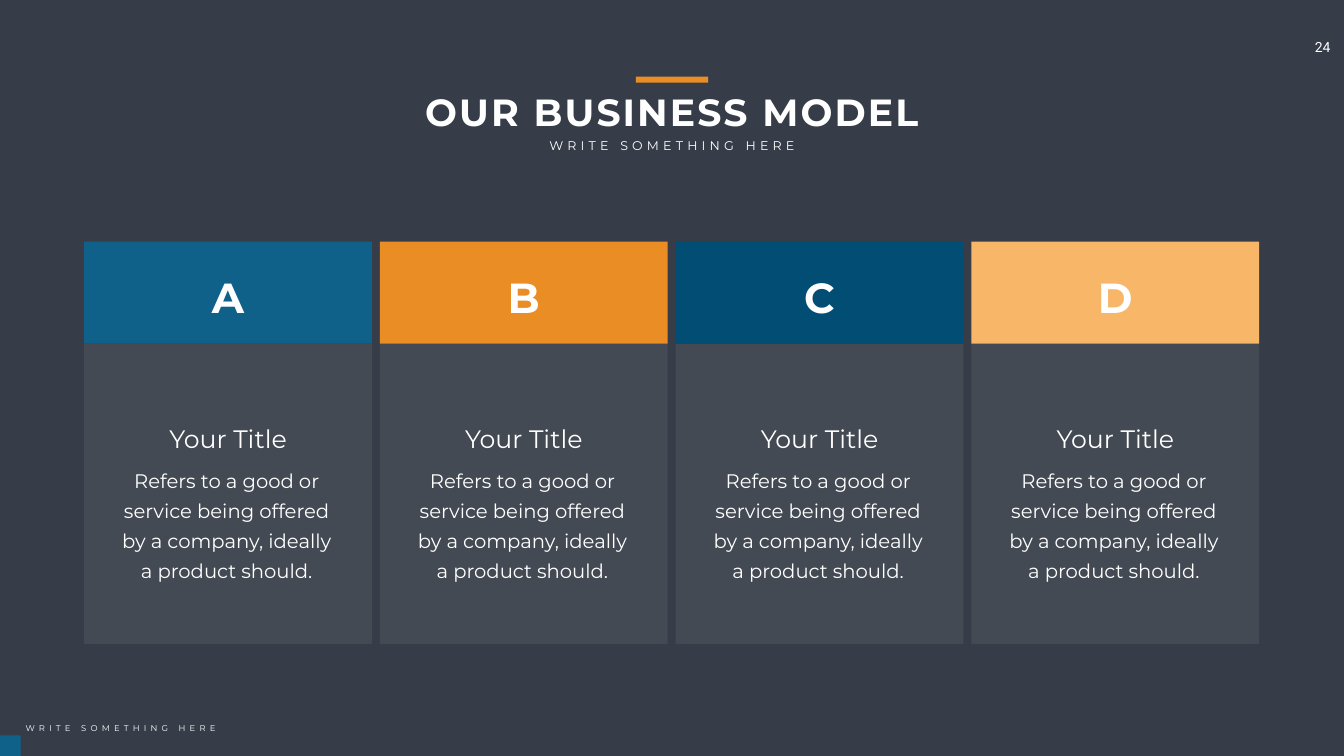
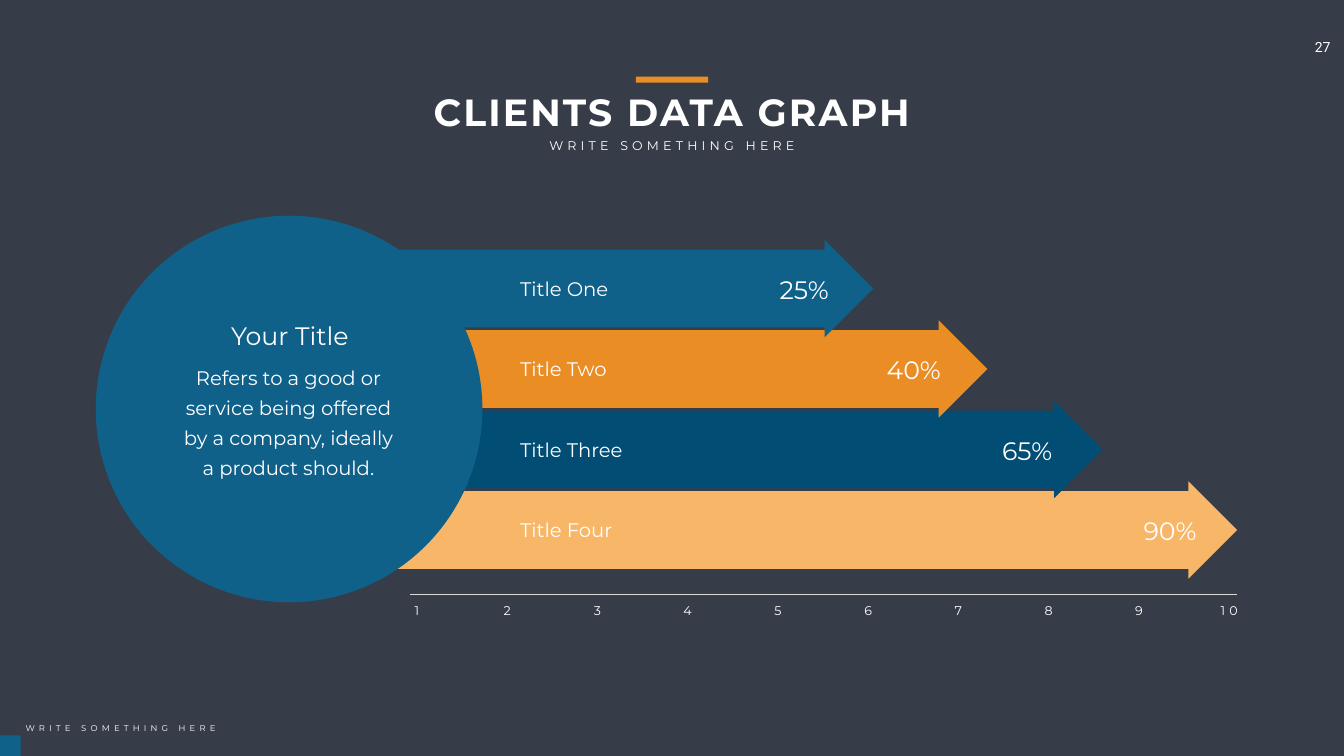
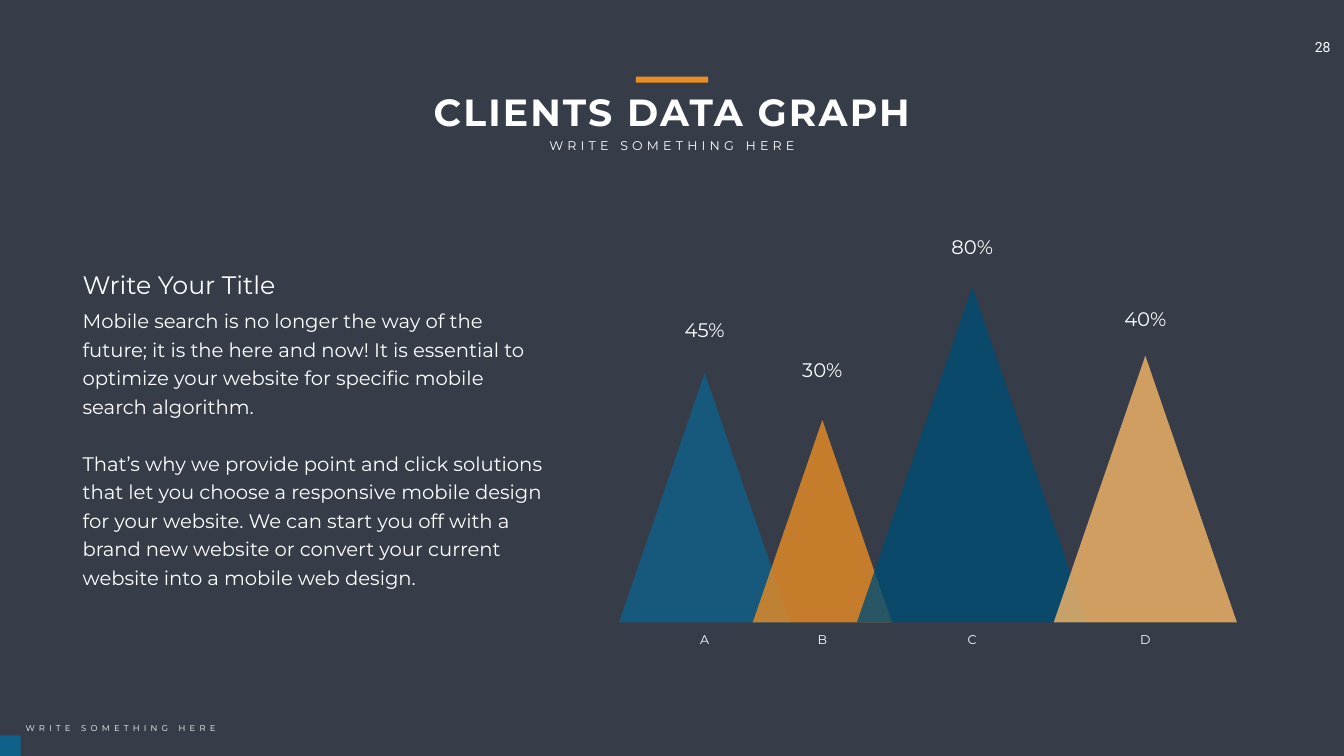
from pptx import Presentation
from pptx.dml.color import RGBColor
from pptx.enum import shapes, text
from pptx.oxml.ns import qn
from pptx.util import Pt
from lxml import etree

HUES = {"back": "363D48", "white": "FFFFFF", "blue": "10618A", "orange": "E98D24",
        "navy": "014D74", "peach": "F8B768", "grey": "808080", "rule": "D9D9D9"}
CYCLE = ["blue", "orange", "navy", "peach"]
KIND = shapes.MSO_SHAPE
LEFT, MID = text.PP_ALIGN.LEFT, text.PP_ALIGN.CENTER
WIDE, HIGH = 1919.5, 1080
HINT = "WRITE SOMETHING HERE"
PITCH = "Refers to a good or service being offered by a company, ideally a product should."
STORY = [
    "Mobile search is no longer the way of the future; it is the here and now! It is "
    "essential to optimize your website for specific mobile search algorithm.",
    "That’s why we provide point and click solutions that let you choose a responsive "
    "mobile design for your website. We can start you off with a brand new website or "
    "convert your current website into a mobile web design.",
]


def rgb(name):
    return RGBColor.from_string(HUES[name])


def write(slide, words, x, y, w, h, size=28, face="Montserrat", bold=False, align=MID,
          track=0, line=None, gap=0, pad=(7.2, 3.6), wrap=True):
    """Add a text box; words is one string or a list of paragraphs."""
    frame = slide.shapes.add_textbox(Pt(x), Pt(y), Pt(w), Pt(h)).text_frame
    frame.word_wrap = wrap
    frame.margin_left = frame.margin_right = Pt(pad[0])
    frame.margin_top = frame.margin_bottom = Pt(pad[1])
    for i, part in enumerate([words] if isinstance(words, str) else words):
        para = frame.paragraphs[0] if i == 0 else frame.add_paragraph()
        para.alignment = align
        if line:
            para.line_spacing = Pt(line)
        if i and gap:
            para.space_before = Pt(gap)
        run = para.add_run()
        run.text = part
        run.font.name, run.font.size, run.font.bold = face, Pt(size), bold
        run.font.color.rgb = rgb("white")
        if track:
            run.font._element.set("spc", str(track * 100))


def draw(slide, kind, hue, x, y, w, h, alpha=None):
    shape = slide.shapes.add_shape(kind, Pt(x), Pt(y), Pt(w), Pt(h))
    shape.shadow.inherit = False
    shape.fill.solid()
    shape.fill.fore_color.rgb = rgb(hue)
    shape.line.fill.background()
    if alpha:
        tint = shape._element.spPr.find(".//" + qn("a:srgbClr"))
        etree.SubElement(tint, qn("a:alpha")).set("val", str(alpha * 1000))
    return shape


def start(deck, title, page):
    """Add a slide with its heading, page number and footer."""
    slide = deck.slides.add_slide(deck.slide_layouts[6])
    write(slide, page, 1863.4, 48.2, 56, 39, size=20, face="Roboto", align=LEFT,
          pad=(14.4, 7.2), wrap=False)
    mid = WIDE / 2
    write(slide, title, mid - 385, 123, 770, 73, size=54, bold=True, track=3)
    write(slide, HINT, mid - 186.5, 193, 373, 29, size=18, track=6, wrap=False)
    draw(slide, KIND.RECTANGLE, "orange", mid - 51.5, 109.4, 103, 8.6)
    draw(slide, KIND.RECTANGLE, "blue", 0, HIGH - 29.5, 29.5, 29.5)
    write(slide, HINT, 29.5, HIGH - 50.4, 294, 22, size=12, align=LEFT, track=6, wrap=False)
    return slide


def note(slide, x, y):
    """Add a centred small title with the pitch below it."""
    write(slide, "Your Title", x + 2, y, 346, 51, size=36)
    write(slide, PITCH, x, y + 51, 346, 187, line=43, pad=(17.3, 8.6))


def card(slide, mark, hue, x, y, w=411, head=146, body=429):
    draw(slide, KIND.RECTANGLE, "grey", x, y + head, w, body, alpha=20)
    draw(slide, KIND.RECTANGLE, hue, x, y, w, head)
    write(slide, mark, x + 74, y + 39, w - 148, 80, size=60, bold=True)
    note(slide, x + 30.5, y + 255.5)


def arrow(slide, hue, name, share, x, y, w, mid):
    """Add a bar with an arrow tip; mid is where its share is centred."""
    bar = draw(slide, KIND.RIGHT_ARROW, hue, x, y, w, 139)
    bar.adjustments[0], bar.adjustments[1] = 0.8, 0.5
    write(slide, name, x + 201.6, y + 49, 239, 41, align=LEFT)
    write(slide, share, mid - 61.5, y + 45, 123, 51, size=36)


def scale(slide, x, y, w, step=128.9):
    rule = slide.shapes.add_connector(shapes.MSO_CONNECTOR.STRAIGHT,
                                      Pt(x), Pt(y), Pt(x + w), Pt(y))
    rule.line.color.rgb = rgb("rule")
    rule.line.width = Pt(0.5)
    etree.SubElement(rule._element.spPr, qn("a:effectLst"))
    for i in range(10):
        write(slide, str(i + 1), x - 17.3 + i * step, y + 9.4, 54.7, 29, size=18, track=6)


def peak(slide, mark, share, hue, mid, base, tall, lift):
    """Add a triangle on base; lift is the height of its share above base."""
    wide = tall * 0.687
    draw(slide, KIND.ISOSCELES_TRIANGLE, hue, mid - wide / 2, base - tall, wide, tall, alpha=80)
    write(slide, mark, mid - 20.5, base + 9.4, 41, 35, size=18, track=6, wrap=False)
    write(slide, share, mid - 69.5, base - lift, 139, 49)


def model(deck):
    slide = start(deck, "OUR BUSINESS MODEL", "24")
    for i, (mark, hue) in enumerate(zip("ABCD", CYCLE)):
        card(slide, mark, hue, 120.2 + i * 422.4, 345)


def arrows(deck):
    slide = start(deck, "CLIENTS DATA GRAPH", "27")
    rows = [("Title One", "25%", 713, 1148.5), ("Title Two", "40%", 876, 1305),
            ("Title Three", "65%", 1041, 1467), ("Title Four", "90%", 1232.6, 1671)]
    for i in reversed(range(len(rows))):
        name, share, w, mid = rows[i]
        arrow(slide, CYCLE[i], name, share, 534.2, 342.7 + i * 115, w, mid)
    draw(slide, KIND.OVAL, "blue", 136.8, 308.2, 552.2, 552.2)
    note(slide, 239, 453.6)
    scale(slide, 585.4, 848.2, 1181.5)


def peaks(deck):
    slide = start(deck, "CLIENTS DATA GRAPH", "28")
    rows = [("A", "45%", 1006.5, 356.4, 439.2), ("B", "30%", 1174.5, 289.4, 381.6),
            ("C", "80%", 1388.5, 479.5, 556.6), ("D", "40%", 1635.8, 381, 455)]
    for hue, (mark, share, mid, tall, lift) in zip(CYCLE, rows):
        peak(slide, mark, share, hue, mid, 889.2, tall, lift)
    write(slide, "Write Your Title", 110.9, 381.6, 346, 51, size=36, align=LEFT)
    write(slide, STORY, 110.9, 430.6, 677.5, 417.6, align=LEFT, line=40.8, gap=40.8)


def main():
    deck = Presentation()
    deck.slide_width, deck.slide_height = Pt(WIDE), Pt(HIGH)
    back = deck.slide_master.background.fill
    back.solid()
    back.fore_color.rgb = rgb("back")
    for build in (model, arrows, peaks):
        build(deck)
    deck.save("out.pptx")


if __name__ == "__main__":
    main()
